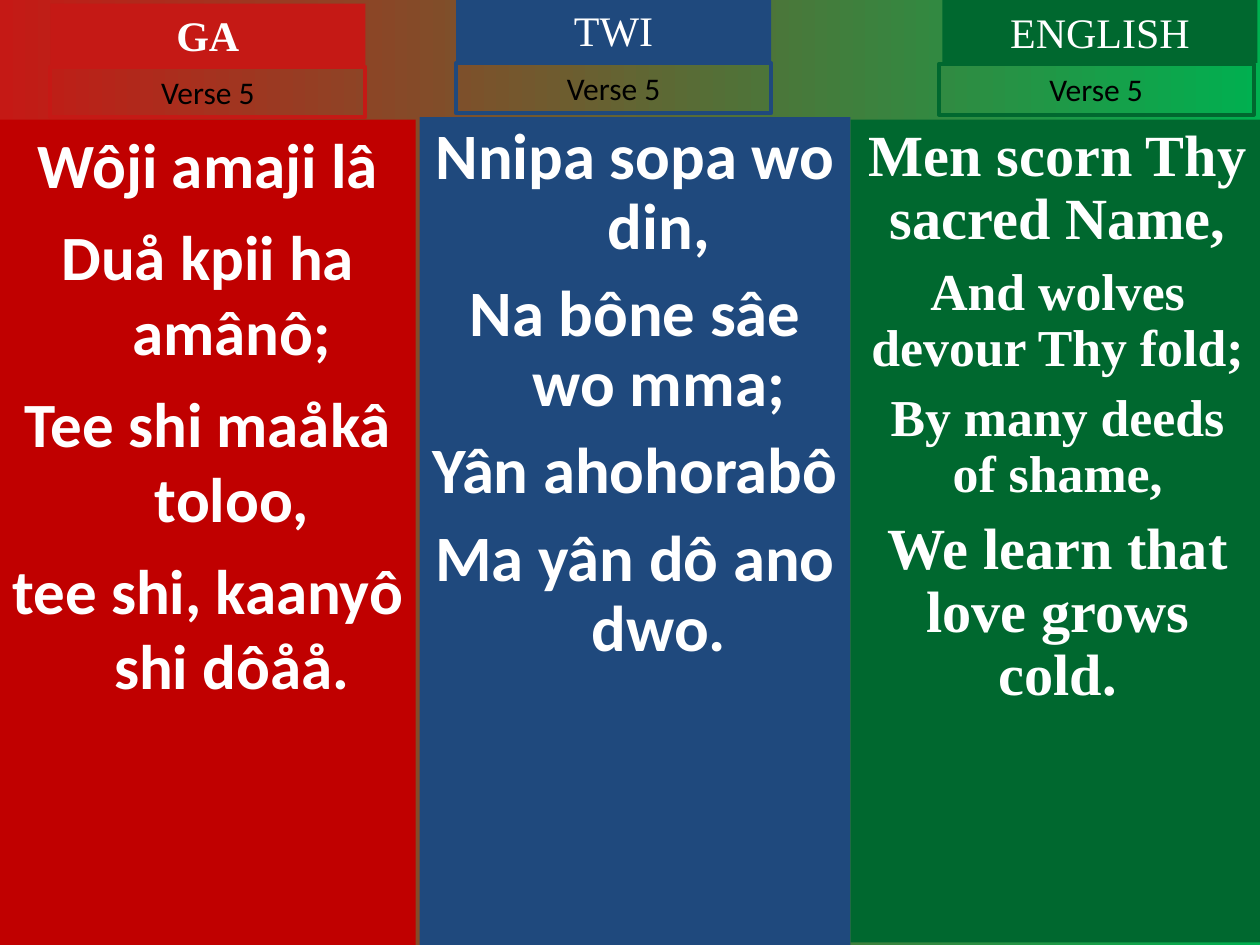
"""Build a hymn slide with one verse in Ga, Twi and English columns."""
from pptx import Presentation
from pptx import util as u
from pptx.dml.color import RGBColor
from pptx.enum import shapes, text

COLORS = {
    "ga": "C00000", "ga_label": "C51915", "twi": "1F497D", "english": "00682F",
    "end": "00B050", "white": "FFFFFF", "black": "000000",
}
SERIF, SANS = "Times New Roman", "Calibri"
HANGING = 0.38

COLUMNS = [
    {
        "body": (0, 0.95, 3.3, 6.55), "fill": "ga", "label_fill": "ga_label",
        "title": "GA", "title_at": (0.4, 0.03), "title_bold": True,
        "verse_at": (0.4, 0.53),
        "font": SANS, "hanging": True, "line_spacing": 1.0,
        "lines": [
            ("Wôji amaji lâ", 36, 0),
            ("Duå kpii ha amânô;", 36, 9),
            ("Tee shi maåkâ toloo,", 36, 9),
            ("tee shi, kaanyô shi dôåå.", 36, 9),
        ],
    },
    {
        "body": (3.33, 0.93, 3.42, 6.57), "fill": "twi", "label_fill": "twi",
        "title": "TWI", "title_at": (3.62, -0.01), "title_bold": False,
        "verse_at": (3.62, 0.5),
        "font": SANS, "hanging": True, "line_spacing": 0.9,
        "lines": [
            ("Nnipa sopa wo din,", 37, 0),
            ("Na bône sâe wo mma;", 37, 10),
            ("Yân ahohorabô", 37, 10),
            ("Ma yân dô ano dwo.", 37, 10),
        ],
    },
    {
        "body": (6.75, 0.95, 3.29, 6.53), "fill": "english", "label_fill": "english",
        "title": "ENGLISH", "title_at": (7.48, 0), "title_bold": False,
        "verse_at": (7.45, 0.51),
        "font": SERIF, "hanging": False, "line_spacing": 0.9,
        "lines": [
            ("Men scorn Thy sacred Name,", 33.3, 0),
            ("And wolves devour Thy fold;", 29.6, 8),
            ("By many deeds of shame,", 29.6, 8),
            ("We learn that love grows cold.", 33.3, 9),
        ],
    },
]


def color(name):
    """Return the named palette colour."""
    return RGBColor.from_string(COLORS[name])


def set_attributes(target, values):
    """Set each format value on the target."""
    for name, value in values.items():
        setattr(target, name, value)


def paint_background(slide):
    """Fill the slide with a horizontal red to green gradient."""
    fill = slide.background.fill
    fill.gradient()
    fill.gradient_angle = 0
    for stop, name in zip(fill.gradient_stops, ("ga_label", "end")):
        stop.color.rgb = color(name)


def add_box(slide, place, fill=None, line=None):
    """Add a rectangle with an optional fill and outline."""
    shape = slide.shapes.add_shape(
        shapes.MSO_SHAPE.RECTANGLE, *(u.Inches(length) for length in place))
    shape.shadow.inherit = False
    if fill:
        shape.fill.solid()
        shape.fill.fore_color.rgb = color(fill)
    else:
        shape.fill.background()
    if line:
        shape.line.color.rgb = color(line)
        shape.line.width = u.Pt(2.25)
    else:
        shape.line.fill.background()
    set_attributes(shape.text_frame, {
        "word_wrap": True, "vertical_anchor": text.MSO_ANCHOR.TOP,
        "margin_left": u.Inches(0.1), "margin_right": u.Inches(0.1),
        "margin_top": u.Inches(0.05), "margin_bottom": u.Inches(0.05),
    })
    return shape


def write_paragraph(paragraph, words, size, font, ink, bold=False, **spacing):
    """Write one centred paragraph with its font and spacing."""
    paragraph.text = words
    set_attributes(paragraph, {"alignment": text.PP_ALIGN.CENTER, **spacing})
    set_attributes(paragraph.font, {"size": u.Pt(size), "name": font, "bold": bold})
    paragraph.font.color.rgb = color(ink)


def add_label(slide, place, words, size, font, ink, bold=False, **look):
    """Add a one-line box that grows with its text."""
    frame = add_box(slide, place, **look).text_frame
    frame.auto_size = text.MSO_AUTO_SIZE.SHAPE_TO_FIT_TEXT
    write_paragraph(frame.paragraphs[0], words, size, font, ink, bold)


def add_verse(slide, column):
    """Add the tall panel that holds the lines of the verse."""
    frame = add_box(slide, column["body"], fill=column["fill"]).text_frame
    for index, (words, size, before) in enumerate(column["lines"]):
        paragraph = frame.add_paragraph() if index else frame.paragraphs[0]
        write_paragraph(paragraph, words, size, column["font"], "white", True,
                        space_before=u.Pt(before), line_spacing=column["line_spacing"])
        if column["hanging"]:
            properties = paragraph._p.get_or_add_pPr()
            properties.set("marL", str(u.Inches(HANGING)))
            properties.set("indent", str(-u.Inches(HANGING)))


def add_column(slide, column):
    """Add the verse panel, language title and verse number of one column."""
    add_verse(slide, column)
    add_label(slide, (*column["title_at"], 2.5, 0.5), column["title"], 24, SERIF,
              "white", column["title_bold"], fill=column["label_fill"])
    add_label(slide, (*column["verse_at"], 2.5, 0.4), "Verse 5", 18, SANS,
              "black", line=column["label_fill"])


def main():
    """Build and save the slide."""
    presentation = Presentation()
    presentation.slide_width = u.Inches(10)
    presentation.slide_height = u.Inches(7.5)
    slide = presentation.slides.add_slide(presentation.slide_layouts[6])
    paint_background(slide)
    for column in COLUMNS:
        add_column(slide, column)
    presentation.save("out.pptx")


if __name__ == "__main__":
    main()
